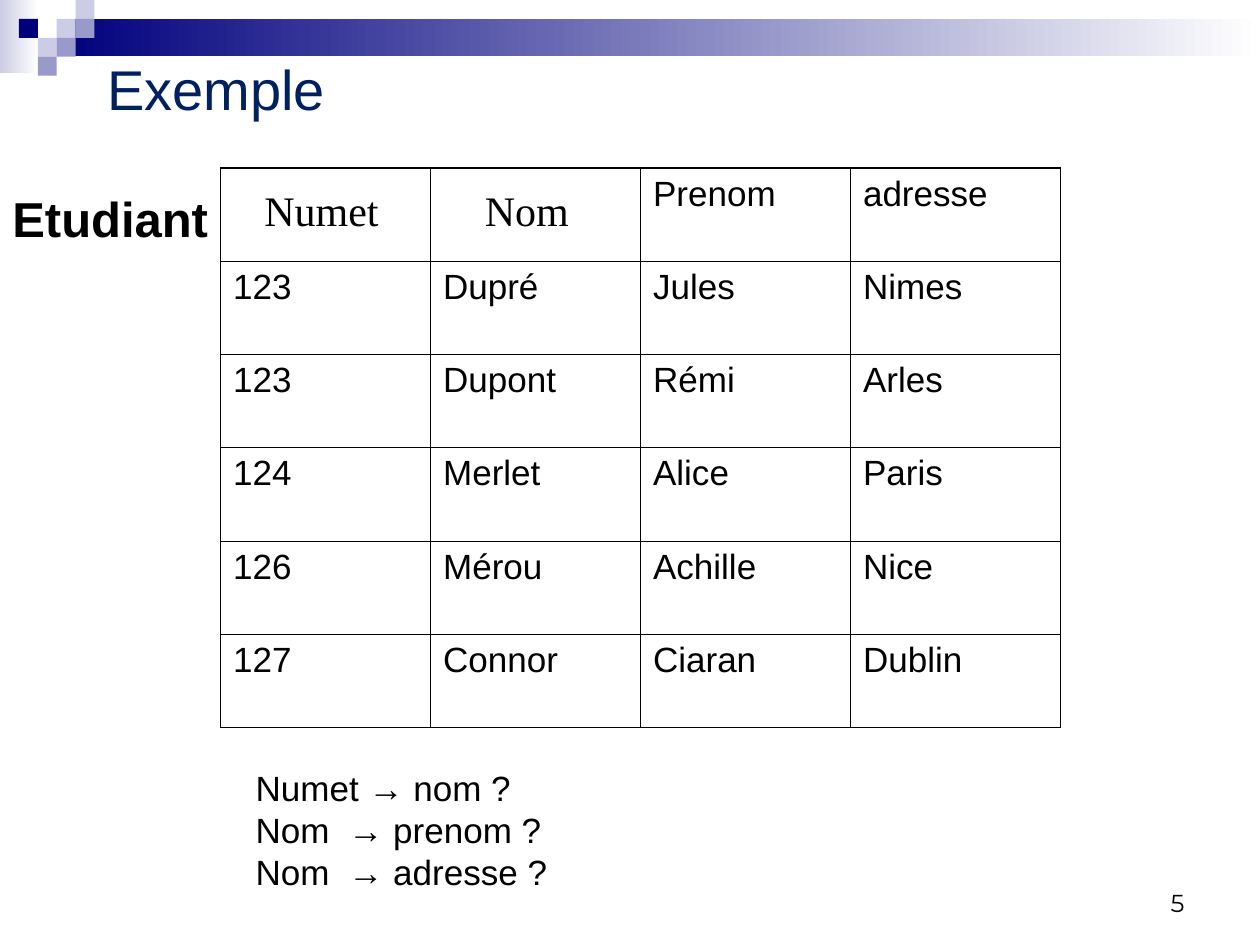
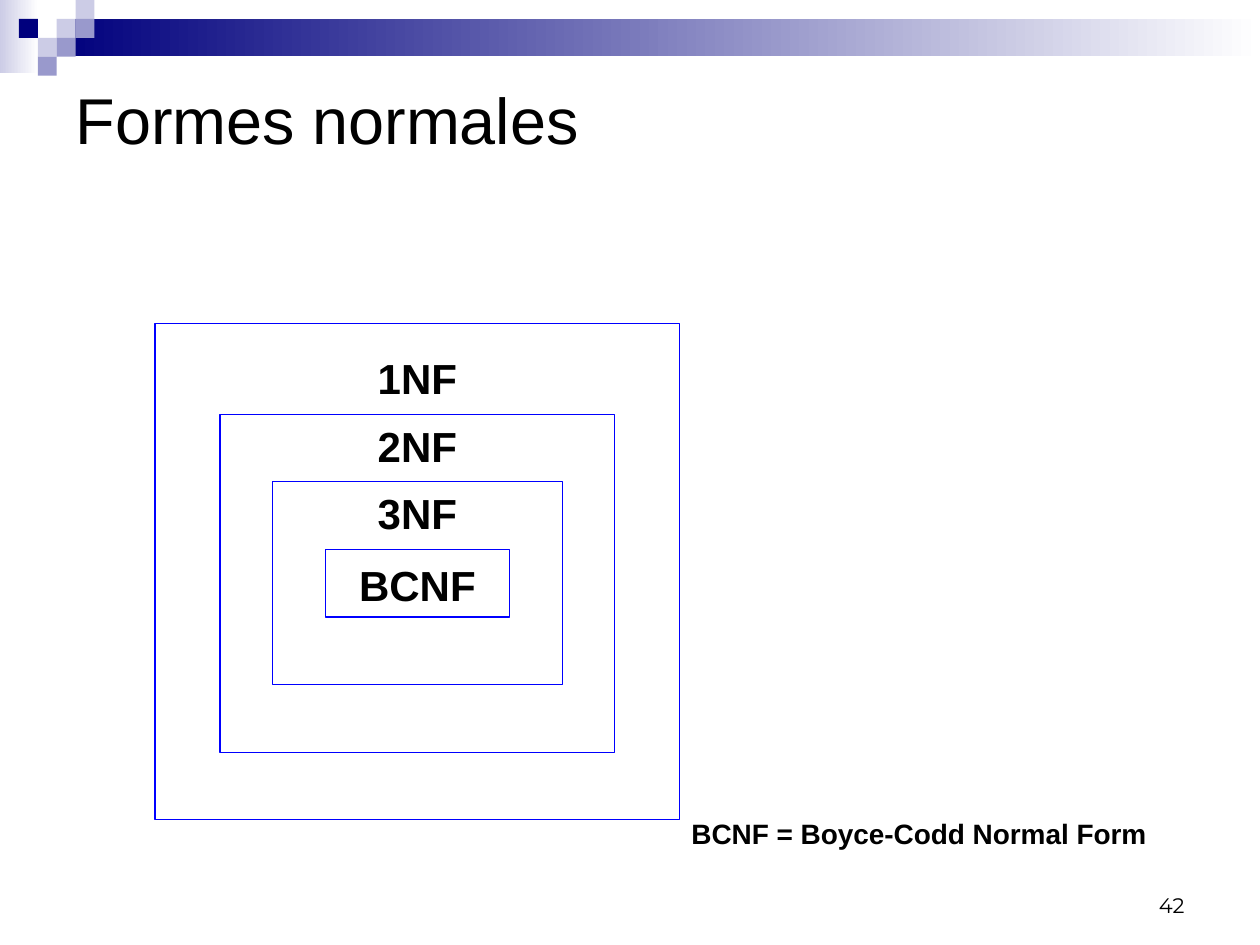
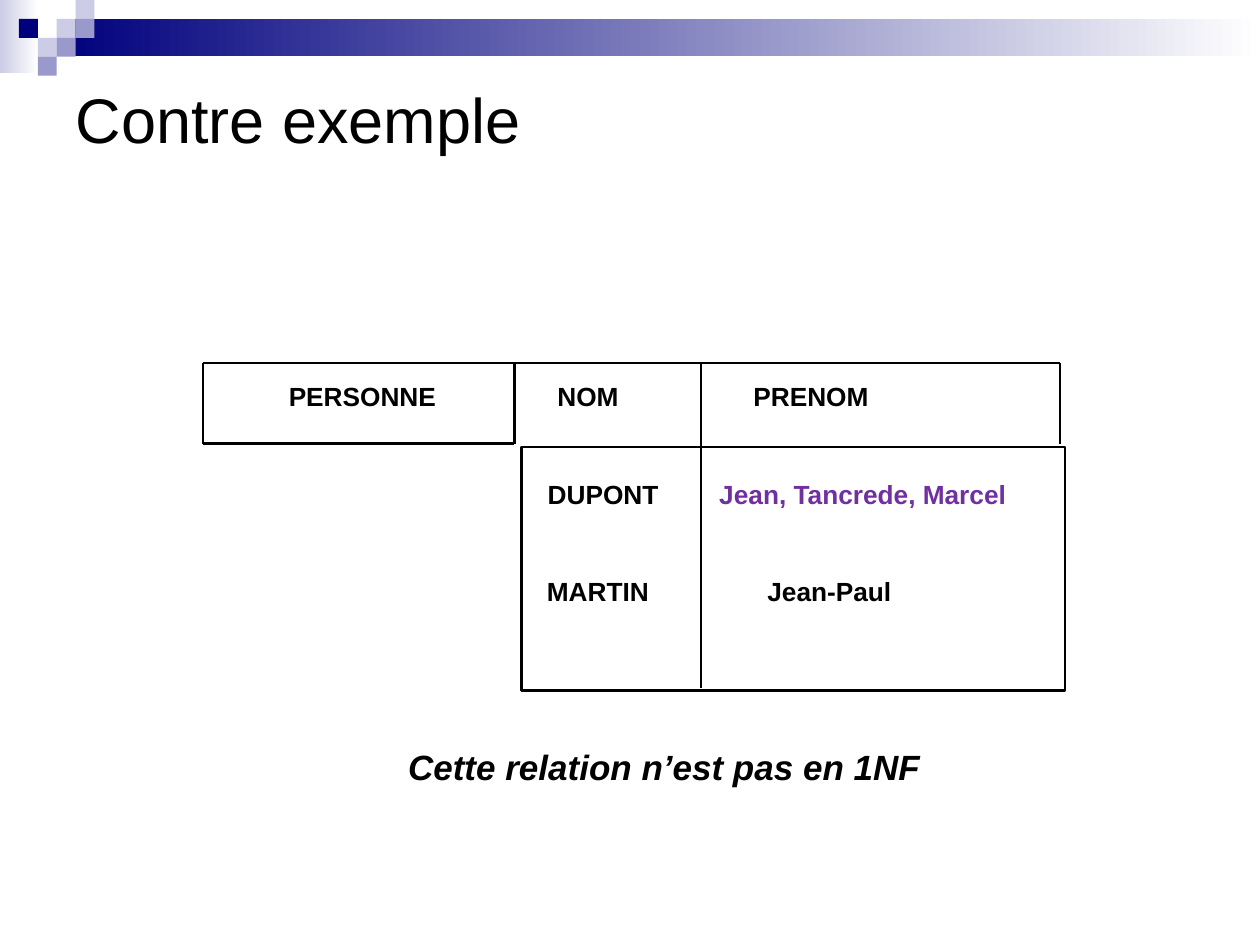
from dataclasses import dataclass

from lxml.etree import SubElement
from pptx import Presentation
from pptx.dml.color import RGBColor
from pptx.enum.shapes import MSO_CONNECTOR, MSO_SHAPE
from pptx.enum.text import MSO_ANCHOR as Anchor, MSO_AUTO_SIZE as AutoSize, PP_ALIGN as Align
from pptx.oxml.ns import qn
from pptx.util import Pt


@dataclass(frozen=True)
class Theme:
    black: RGBColor = RGBColor(0, 0, 0)
    white: RGBColor = RGBColor(0xFF, 0xFF, 0xFF)
    navy: RGBColor = RGBColor(0x00, 0x00, 0x7D)
    lilac: RGBColor = RGBColor(0xCC, 0xCC, 0xE6)
    lavender: RGBColor = RGBColor(0x99, 0x99, 0xCC)
    title_blue: RGBColor = RGBColor(0x00, 0x20, 0x60)
    outline_blue: RGBColor = RGBColor(0x00, 0x00, 0xFF)
    purple: RGBColor = RGBColor(0x70, 0x30, 0xA0)
    font: str = "Arial"
    serif: str = "Times New Roman"
    number_font: str = "Montserrat"
    heading: int = 28
    label: int = 24
    text: int = 20
    caption: int = 16
    cell: int = 15


theme = Theme()


def style_text(text_frame, size, colour=theme.black, font=theme.font,
               bold=False, italic=False, align=Align.LEFT):
    for paragraph in text_frame.paragraphs:
        paragraph.alignment = align
        for run in paragraph.runs:
            run.font.size = Pt(size)
            run.font.name = font
            run.font.color.rgb = colour
            run.font.bold = bold
            run.font.italic = italic


def add_text(slide, box, text, size, inset=(7.2, 3.6), wrap=True, anchor=Anchor.TOP, **style):
    """Add a text box; box is left, top, width, height in points."""
    text_frame = slide.shapes.add_textbox(*map(Pt, box)).text_frame
    text_frame.word_wrap = wrap
    text_frame.auto_size = AutoSize.NONE if wrap else AutoSize.SHAPE_TO_FIT_TEXT
    text_frame.vertical_anchor = anchor
    text_frame.margin_left = text_frame.margin_right = Pt(inset[0])
    text_frame.margin_top = text_frame.margin_bottom = Pt(inset[1])
    text_frame.text = text
    style_text(text_frame, size, **style)
    return text_frame


presentation = Presentation()
presentation.slide_width, presentation.slide_height = Pt(720), Pt(540)
layout = presentation.slide_layouts.get_by_name("Title Only")

# Titles: text, box, size, colour, bottom inset
titles = [
    ("Exemple", (54, 18, 612, 64.8), 32, theme.title_blue, 3.6),
    ("Formes normales", (36, 36, 648, 108), 37, theme.black, 48),
    ("Contre exemple", (36, 36, 648, 108), 36, theme.black, 48),
]
slides = []
for text, box, size, colour, bottom_inset in titles:
    slide = presentation.slides.add_slide(layout)
    title = slide.shapes.title
    title.left, title.top, title.width, title.height = map(Pt, box)
    title.text_frame.text = text
    title.text_frame.auto_size = AutoSize.NONE
    title.text_frame.vertical_anchor = Anchor.MIDDLE
    title.text_frame.margin_bottom = Pt(bottom_inset)
    style_text(title.text_frame, size, colour)
    slides.append(slide)
example, normal_forms, counterexample = slides

# Header band, drawn once and moved to the shared layout
unit = 10.8
band = example.shapes.add_group_shape()
pieces = [((0, 0, 22, 42), theme.lilac, True), ((3 * unit, unit, 687.6, 21.2), theme.navy, True)]
for column, row, colour in [
    (3, 1, theme.lilac), (4, 0, theme.lilac), (4, 1, theme.lavender),
    (2, 2, theme.lilac), (1, 1, theme.navy), (3, 2, theme.lavender), (2, 3, theme.lavender),
]:
    pieces.append(((column * unit, row * unit, unit, unit), colour, False))
for box, colour, fades in pieces:
    piece = band.shapes.add_shape(MSO_SHAPE.RECTANGLE, *map(Pt, box))
    piece.shadow.inherit = False
    piece.line.fill.background()
    if fades:
        piece.fill.gradient()
        piece.fill.gradient_angle = 0
        for stop, stop_colour in zip(piece.fill.gradient_stops, (colour, theme.white)):
            stop.color.rgb = stop_colour
    else:
        piece.fill.solid()
        piece.fill.fore_color.rgb = colour
for shape_id, properties in enumerate(band.element.iter(qn("p:cNvPr")), 100):
    properties.set("id", str(shape_id))
layout.shapes.element.insert(2, band.element)

# Page numbers
for slide, number, size in [(example, "5", 14), (normal_forms, "42", 12)]:
    add_text(slide, (516, 492, 168, 36), number, size, anchor=Anchor.BOTTOM,
             font=theme.number_font, align=Align.RIGHT)

# Exemple: student table
students = [
    ("", "", "Prenom", "adresse"),
    ("123", "Dupré", "Jules", "Nimes"),
    ("123", "Dupont", "Rémi", "Arles"),
    ("124", "Merlet", "Alice", "Paris"),
    ("126", "Mérou", "Achille", "Nice"),
    ("127", "Connor", "Ciaran", "Dublin"),
]
last_row, last_column = len(students) - 1, len(students[0]) - 1
table = example.shapes.add_table(
    len(students), len(students[0]), Pt(126), Pt(96), Pt(480), Pt(319.8)).table
table.first_row = table.horz_banding = False
for row_index, values in enumerate(students):
    table.rows[row_index].height = Pt(53.3)
    for column_index, value in enumerate(values):
        cell = table.cell(row_index, column_index)
        cell.text = value
        style_text(cell.text_frame, theme.text)
        outer_edges = {
            "a:lnL": column_index == 0, "a:lnR": column_index == last_column,
            "a:lnT": row_index == 0, "a:lnB": row_index == last_row,
        }
        cell_properties = cell._tc.get_or_add_tcPr()
        for edge, is_outer in outer_edges.items():
            border = SubElement(cell_properties, qn(edge), w=str(Pt(1.08 if is_outer else 0.45)))
            border_fill = SubElement(border, qn("a:solidFill"))
            SubElement(border_fill, qn("a:srgbClr"), val=str(theme.black))
        cell.fill.background()

add_text(example, (0, 104, 127, 41), "Etudiant", theme.heading, wrap=False, bold=True)
add_text(example, (144, 102, 80, 36), "Numet", theme.label, wrap=False, font=theme.serif)
add_text(example, (270, 102, 63, 36), "Nom", theme.label, wrap=False, font=theme.serif)
questions = add_text(example, (139, 434.5, 372, 79),
                     "Numet → nom ?\nNom\t→ prenom ?\nNom\t→ adresse ?", theme.text)
for paragraph in questions.paragraphs[1:]:
    tab_list = SubElement(paragraph._p.get_or_add_pPr(), qn("a:tabLst"))
    SubElement(tab_list, qn("a:tab"), pos=str(Pt(53)), algn="l")

# Formes normales: nested forms, from the outside in
centre = 238.5
for form, label_top, top, width, height in [
    ("1NF", 198, 185, 300, 283.5),
    ("2NF", 236.7, 236.7, 225.4, 193.2),
    ("3NF", 275.3, 275.3, 165.6, 115.9),
    ("BCNF", 316, 314, 105, 38.6),
]:
    frame = normal_forms.shapes.add_shape(
        MSO_SHAPE.RECTANGLE, Pt(centre - width / 2), Pt(top), Pt(width), Pt(height))
    frame.shadow.inherit = False
    frame.fill.background()
    frame.line.color.rgb = theme.outline_blue
    frame.line.width = Pt(0.75)
    add_text(normal_forms, (centre - 52.5, label_top, 105, 38.6), form, theme.label,
             bold=True, align=Align.CENTER)
add_text(normal_forms, (388, 463, 306, 57), "BCNF = Boyce-Codd Normal Form",
         theme.caption, bold=True)

# Contre exemple: relation drawn with a frame and lines
conclusion = add_text(counterexample, (75.6, 426, 608, 26), "Cette relation n’est pas en 1NF",
                      theme.text, inset=(5, 2.2), bold=True, italic=True, align=Align.CENTER)
conclusion.paragraphs[0].line_spacing = 0.92

rows_frame = counterexample.shapes.add_shape(
    MSO_SHAPE.RECTANGLE, Pt(298), Pt(255.6), Pt(310.4), Pt(139))
rows_frame.shadow.inherit = False
rows_frame.fill.background()
rows_frame.line.color.rgb = theme.black
rows_frame.line.width = Pt(1.25)

left, name_left, first_name_left, right = 116.2, 294, 400.5, 605.8
top, header_bottom, rows_bottom = 207.5, 253.5, 393
for ends in [
    (left, top, right, top),
    (right, top, right, header_bottom),
    (name_left, top, name_left, header_bottom),
    (left, top, left, header_bottom),
    (left, header_bottom, name_left, header_bottom),
    (first_name_left, top, first_name_left, rows_bottom),
]:
    line = counterexample.shapes.add_connector(MSO_CONNECTOR.STRAIGHT, *map(Pt, ends))
    line.line.color.rgb = theme.black
    line.line.width = Pt(1.25)
    SubElement(line.element.spPr, qn("a:effectLst"))

header_top, dupont_top, martin_top = 217.5, 273.2, 329
for text, text_left, text_top, width, colour in [
    ("PERSONNE", 165, header_top, 85, theme.black),
    ("NOM", 318.5, header_top, 36, theme.black),
    ("PRENOM", 430.5, header_top, 70, theme.black),
    ("DUPONT", 313, dupont_top, 64, theme.black),
    ("Jean, Tancrede, Marcel", 411, dupont_top, 165, theme.purple),
    ("MARTIN", 312.5, martin_top, 59, theme.black),
    ("Jean-Paul", 438.5, martin_top, 71, theme.black),
]:
    add_text(counterexample, (text_left, text_top, width, 18), text, theme.cell,
             inset=(0, 0), wrap=False, bold=True, colour=colour)

presentation.save("out.pptx")
